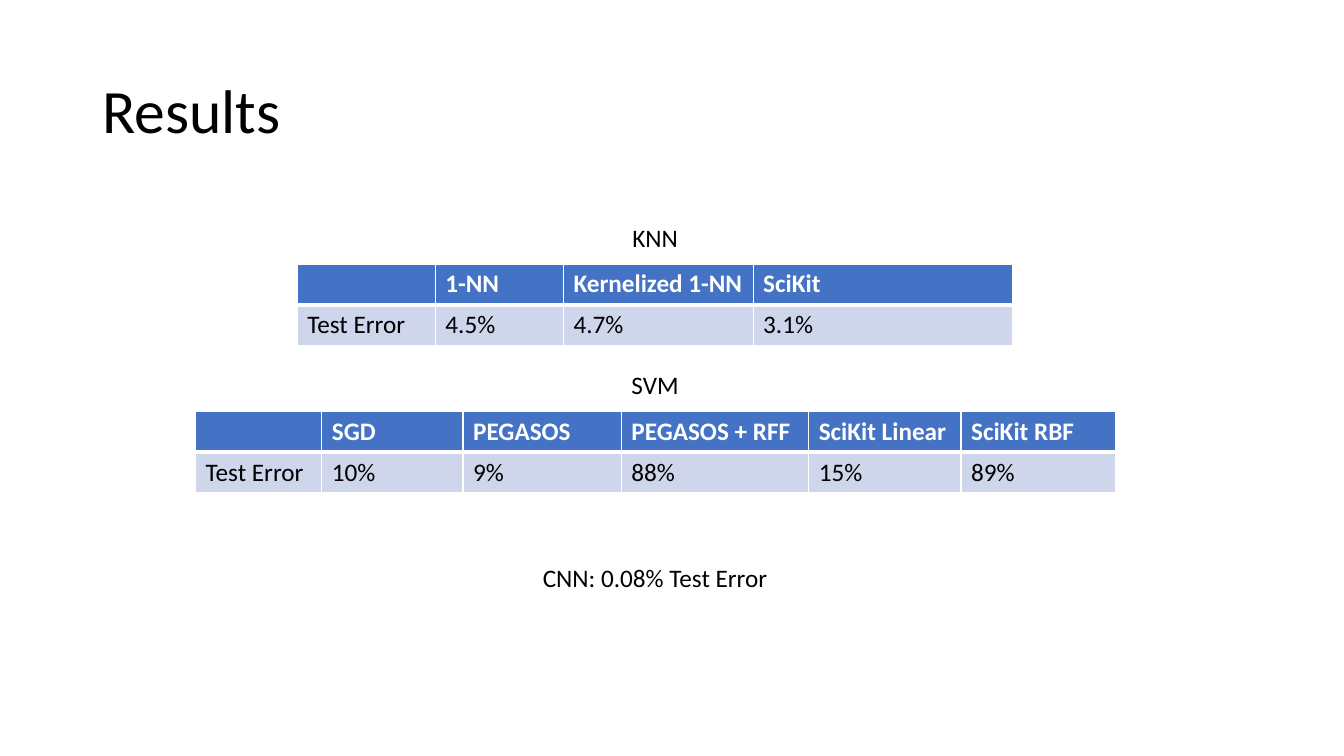
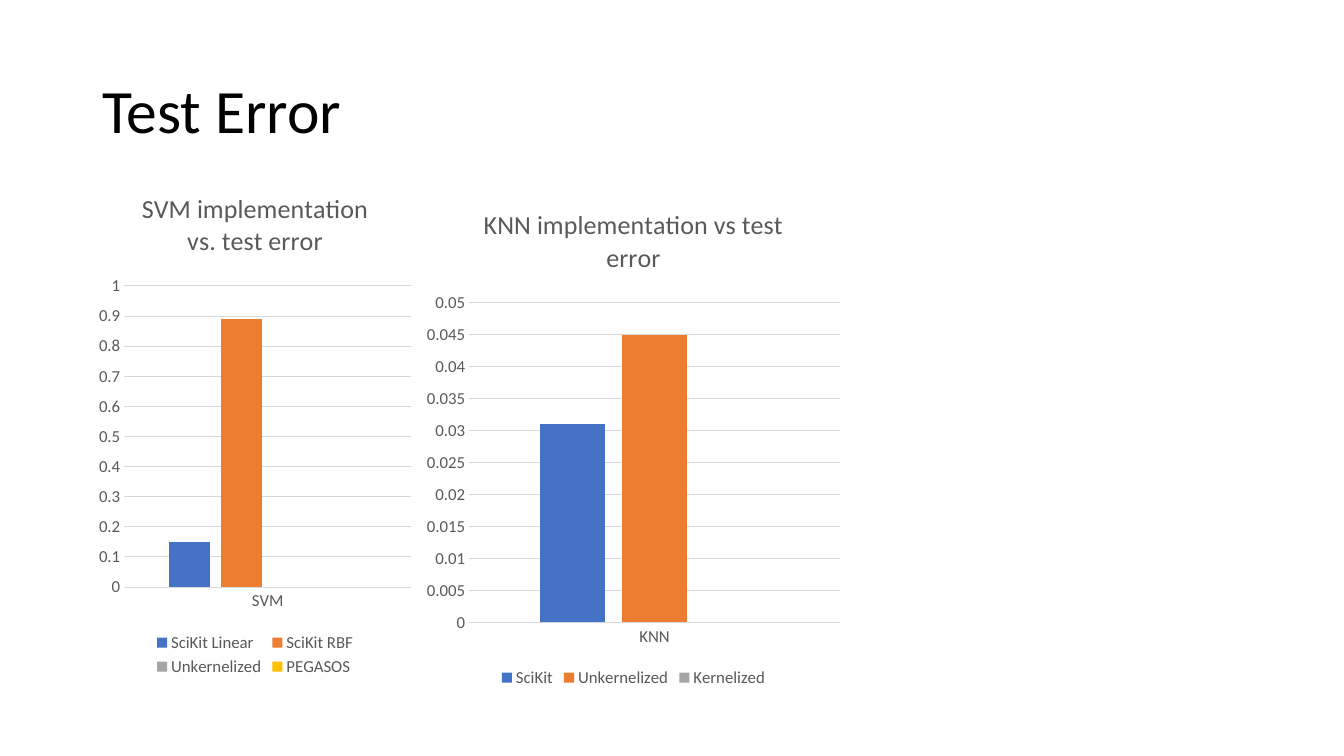
from pptx import Presentation
from pptx.chart.data import CategoryChartData
from pptx.dml.color import RGBColor
from pptx.enum.chart import XL_CHART_TYPE, XL_LEGEND_POSITION, XL_TICK_MARK
from pptx.enum.text import MSO_ANCHOR, MSO_AUTO_SIZE, PP_ALIGN
from pptx.oxml import parse_xml
from pptx.oxml.ns import nsdecls
from pptx.util import Cm, Pt

COLORS = {
    "text": "000000", "white": "FFFFFF", "header": "4472C4", "body": "CFD5EA",
    "muted": "595959", "grid": "D9D9D9",
}
SERIES_COLORS = ["4472C4", "ED7D31", "A5A5A5", "FFC000"]


class Deck:
    font_name = "Calibri"
    center = 16.51
    row_height = 1.03

    def __init__(self):
        self.presentation = Presentation()
        self.presentation.slide_width = Cm(33.87)
        self.presentation.slide_height = Cm(19.05)
        self.slide = None

    def style(self, font, size, color, bold=False):
        font.name = self.font_name
        font.size = Pt(size)
        font.bold = bold
        font.color.rgb = RGBColor.from_string(COLORS[color])

    def add_slide(self, title):
        self.slide = self.presentation.slides.add_slide(self.presentation.slide_layouts[6])
        heading = self.slide.shapes.add_textbox(Cm(2.33), Cm(1.02), Cm(29.21), Cm(3.68))
        frame = heading.text_frame
        frame.word_wrap = True
        frame.vertical_anchor = MSO_ANCHOR.MIDDLE
        frame.text = title
        frame.paragraphs[0].line_spacing = 0.9
        self.style(frame.paragraphs[0].runs[0].font, 44, "text")

    def label(self, text, top, width):
        caption = self.slide.shapes.add_textbox(
            Cm(self.center - width / 2), Cm(top), Cm(width), Cm(1.02))
        frame = caption.text_frame
        frame.word_wrap = False
        frame.auto_size = MSO_AUTO_SIZE.SHAPE_TO_FIT_TEXT
        frame.text = text
        frame.paragraphs[0].alignment = PP_ALIGN.CENTER
        self.style(frame.paragraphs[0].runs[0].font, 18, "text")

    def border(self, cell, widths):
        properties = cell._tc.get_or_add_tcPr()
        for position, (side, width) in enumerate(widths.items()):
            properties.insert(position, parse_xml(
                f'<a:ln{side} {nsdecls("a")} w="{Pt(width)}"><a:solidFill>'
                f'<a:srgbClr val="{COLORS["white"]}"/></a:solidFill></a:ln{side}>'))

    def table(self, left, top, widths, rows):
        frame = self.slide.shapes.add_table(
            len(rows), len(widths), Cm(left), Cm(top),
            Cm(sum(widths)), Cm(self.row_height * len(rows)))
        grid = frame.table
        for column, width in zip(grid.columns, widths):
            column.width = Cm(width)
        for row_index, values in enumerate(rows):
            grid.rows[row_index].height = Cm(self.row_height)
            is_header = row_index == 0
            for column_index, value in enumerate(values):
                cell = grid.cell(row_index, column_index)
                cell.text_frame.text = value
                self.style(cell.text_frame.paragraphs[0].font, 18,
                           "white" if is_header else "text", is_header)
                for run in cell.text_frame.paragraphs[0].runs:
                    self.style(run.font, 18, "white" if is_header else "text", is_header)
                cell.fill.solid()
                cell.fill.fore_color.rgb = RGBColor.from_string(
                    COLORS["header" if is_header else "body"])
                self.border(cell, {"L": 1, "R": 1, "T": 1 if is_header else 3,
                                   "B": 3 if is_header else 1})

    def chart(self, box, title, category, series, maximum, step):
        data = CategoryChartData()
        data.categories = [category]
        for name, value in series:
            data.add_series(name, [value])
        chart = self.slide.shapes.add_chart(
            XL_CHART_TYPE.COLUMN_CLUSTERED, *map(Cm, box), data).chart
        self.style(chart.font, 12, "muted")

        chart.has_title = True
        chart.chart_title.include_in_layout = False
        heading = chart.chart_title.text_frame
        heading.text = title
        self.style(heading.paragraphs[0].runs[0].font, 18.6, "muted")

        chart.has_legend = True
        chart.legend.position = XL_LEGEND_POSITION.BOTTOM
        chart.legend.include_in_layout = False
        self.style(chart.legend.font, 12, "muted")

        plot = chart.plots[0]
        plot.gap_width = 219
        plot.overlap = -27
        plot.vary_by_categories = False
        for bars, color in zip(plot.series, SERIES_COLORS):
            bars.format.fill.solid()
            bars.format.fill.fore_color.rgb = RGBColor.from_string(color)

        for axis in (chart.category_axis, chart.value_axis):
            axis.major_tick_mark = XL_TICK_MARK.NONE
            axis.minor_tick_mark = XL_TICK_MARK.NONE
            self.style(axis.tick_labels.font, 12, "muted")
        values = chart.value_axis
        values.minimum_scale = 0
        values.maximum_scale = maximum
        values.major_unit = step
        values.has_major_gridlines = True
        values.format.line.fill.background()
        for line in (chart.category_axis.format.line, values.major_gridlines.format.line):
            line.color.rgb = RGBColor.from_string(COLORS["grid"])
            line.width = Pt(0.75)


deck = Deck()

deck.add_slide("Results")
deck.table(7.49, 6.65, [3.48, 3.23, 4.78, 6.53], [
    ["", "1-NN", "Kernelized 1-NN", "SciKit"],
    ["Test Error", "4.5%", "4.7%", "3.1%"],
])
deck.label("KNN", 5.49, 1.68)
deck.label("SVM", 9.17, 1.73)
deck.table(4.93, 10.36, [3.18, 3.56, 3.99, 4.72, 3.84, 3.89], [
    ["", "SGD", "PEGASOS", "PEGASOS + RFF", "SciKit Linear", "SciKit RBF"],
    ["Test Error", "10%", "9%", "88%", "15%", "89%"],
])
deck.label("CNN: 0.08% Test Error", 14.05, 6.22)

deck.add_slide("Test Error")
deck.chart((2.33, 4.27, 8.2, 12.88), "SVM implementation vs. test error", "SVM", [
    ("SciKit Linear", 0.15), ("SciKit RBF", 0.89),
    ("Unkernelized", None), ("PEGASOS", None),
], 1, 0.1)
deck.chart((10.54, 4.7, 10.85, 12.73), "KNN implementation vs test error", "KNN", [
    ("SciKit", 0.031), ("Unkernelized", 0.045), ("Kernelized", None),
], 0.05, 0.005)

deck.presentation.save("out.pptx")
